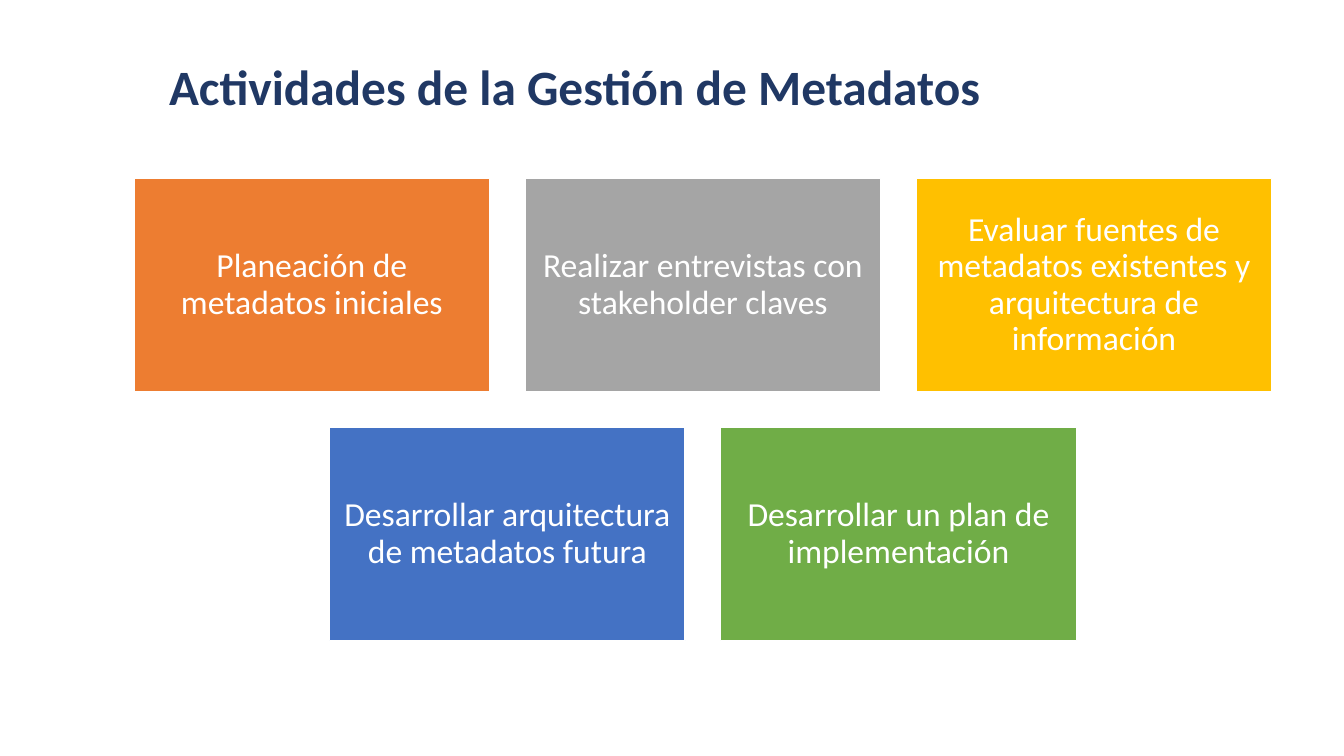
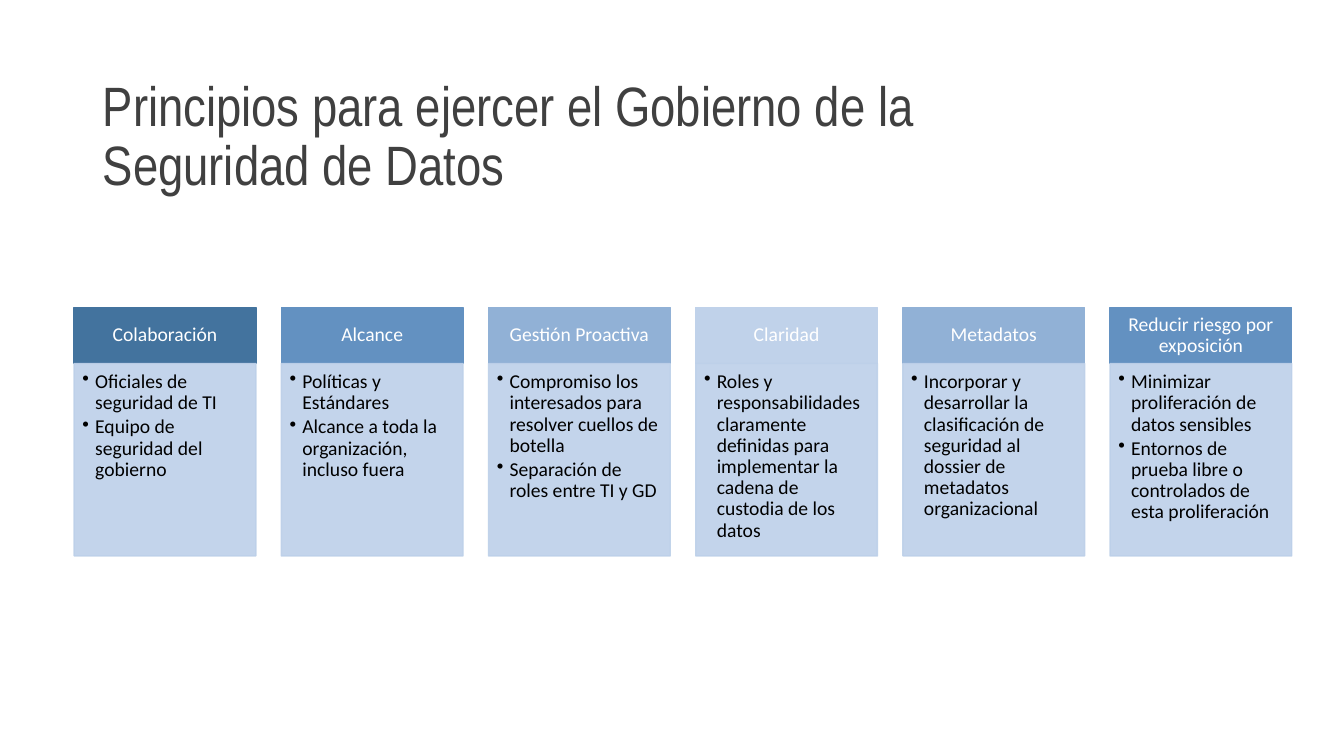
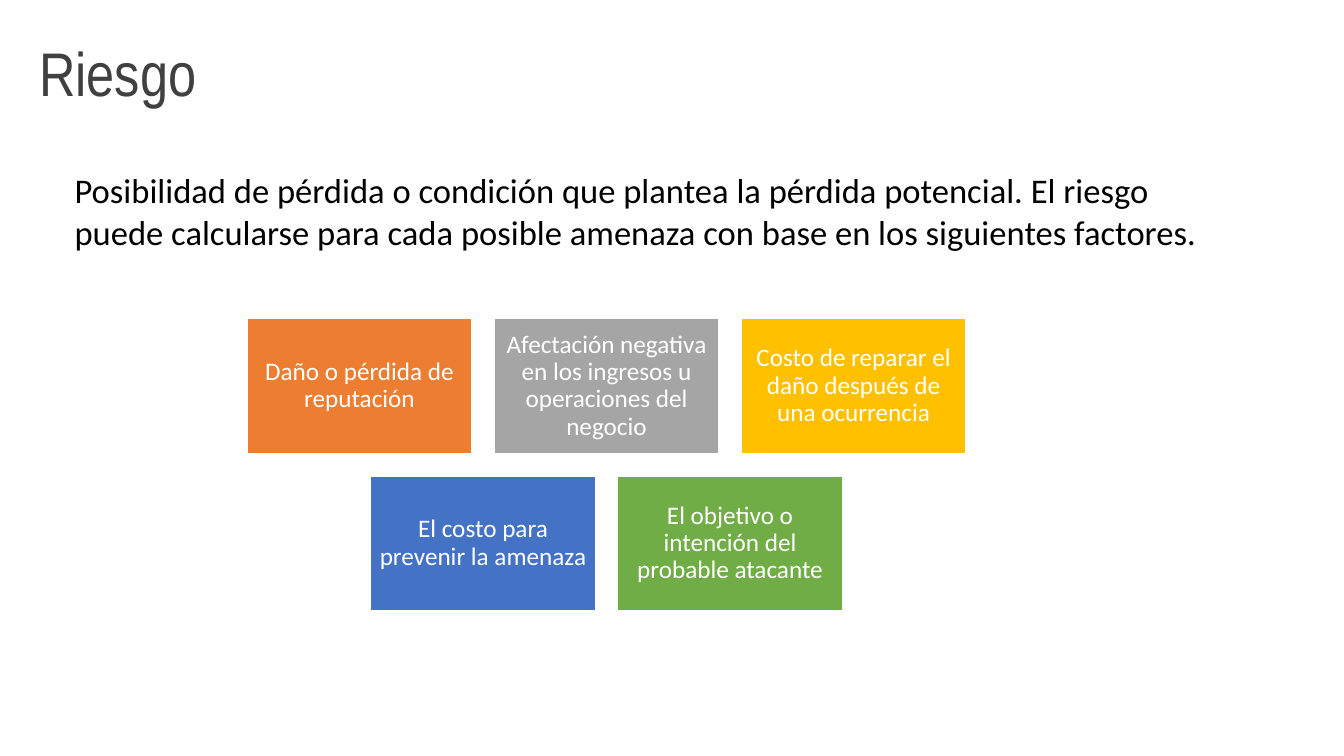
import pptx
import pptx.dml.color
import pptx.enum.shapes
import pptx.enum.text
import pptx.oxml.ns
import pptx.util
from lxml import etree

Cm = pptx.util.Cm
ALIGN = pptx.enum.text.PP_ALIGN
ANCHOR = pptx.enum.text.MSO_ANCHOR
qn = pptx.oxml.ns.qn

COLORS = {
    "white": "FFFFFF", "black": "000000", "navy": "203864", "charcoal": "404040",
    "orange": "ED7D31", "gray": "A5A5A5", "gold": "FFC000", "blue": "4472C4", "green": "70AD47",
    "steel": "43739E", "sky": "6391C1", "mist": "91B1D6", "haze": "C0D2EA", "panel": "BDD0E9",
}
CARD_COLORS = ["orange", "gray", "gold", "blue", "green"]
CARDS_PER_ROW = 3

ACTIVITIES_TITLE = "Actividades de la Gestión de Metadatos"
ACTIVITIES = [
    "Planeación de metadatos iniciales",
    "Realizar entrevistas con stakeholder claves",
    "Evaluar fuentes de metadatos existentes y arquitectura de información",
    "Desarrollar arquitectura de metadatos futura",
    "Desarrollar un plan de implementación",
]

PRINCIPLES_TITLE = "Principios para ejercer el Gobierno de la Seguridad de Datos"
PRINCIPLES = [
    ("Colaboración", "steel", ["Oficiales de seguridad de TI", "Equipo de seguridad del gobierno"]),
    ("Alcance", "sky", ["Políticas y Estándares", "Alcance a toda la organización, incluso fuera"]),
    ("Gestión Proactiva", "mist", ["Compromiso los interesados para resolver cuellos de botella",
                                   "Separación de roles entre TI y GD"]),
    ("Claridad", "haze", ["Roles y responsabilidades claramente definidas para implementar "
                          "la cadena de custodia de los datos"]),
    ("Metadatos", "mist", ["Incorporar y desarrollar la clasificación de seguridad al dossier "
                           "de metadatos organizacional"]),
    ("Reducir riesgo por exposición", "sky", ["Minimizar proliferación de datos sensibles",
                                              "Entornos de prueba libre o controlados de esta proliferación"]),
]

RISK_TITLE = "Riesgo"
RISK_DEFINITION = ("Posibilidad de pérdida o condición que plantea la pérdida potencial. El riesgo puede "
                   "calcularse para cada posible amenaza con base en los siguientes factores.")
RISK_FACTORS = [
    "Daño o pérdida de reputación",
    "Afectación negativa en los ingresos u operaciones del negocio",
    "Costo de reparar el daño después de una ocurrencia",
    "El costo para prevenir la amenaza",
    "El objetivo o intención del probable atacante",
]


def rgb(name):
    return pptx.dml.color.RGBColor.from_string(COLORS[name])


def write(shape, paragraphs, size, color, font="Calibri", bold=False, align=ALIGN.LEFT,
          anchor=ANCHOR.MIDDLE, insets=(0.25, 0.13, 0.25, 0.13), spacing=0.9, bulleted=False):
    frame = shape.text_frame
    frame.word_wrap = True
    frame.vertical_anchor = anchor
    frame.margin_left, frame.margin_top, frame.margin_right, frame.margin_bottom = map(Cm, insets)
    for index, text in enumerate(paragraphs):
        paragraph = frame.paragraphs[0] if index == 0 else frame.add_paragraph()
        if bulleted:
            properties = paragraph._p.get_or_add_pPr()
            properties.set("marL", str(Cm(0.32)))
            properties.set("indent", str(-Cm(0.32)))
            etree.SubElement(properties, qn("a:buChar"), char="•")
            paragraph.space_after = pptx.util.Pt(2)
        paragraph.alignment = align
        paragraph.line_spacing = spacing
        run = paragraph.add_run()
        run.text = text
        run.font.size = pptx.util.Pt(size)
        run.font.name = font
        run.font.bold = bold
        run.font.color.rgb = rgb(color)


def add_text(slide, box, text, size, color, **style):
    write(slide.shapes.add_textbox(*map(Cm, box)), [text], size, color, **style)


def add_title(slide, box, text, size, color="charcoal", font="Arial Narrow", **style):
    add_text(slide, box, text, size, color, font=font, **style)


def add_rectangle(slide, box, fill, line, opacity=100):
    rectangle = slide.shapes.add_shape(pptx.enum.shapes.MSO_SHAPE.RECTANGLE, *map(Cm, box))
    rectangle.shadow.inherit = False
    rectangle.fill.solid()
    rectangle.fill.fore_color.rgb = rgb(fill)
    rectangle.line.color.rgb = rgb(line)
    rectangle.line.width = pptx.util.Pt(1)
    if opacity < 100:
        for color in list(rectangle.element.spPr.iter(qn("a:srgbClr"))):
            etree.SubElement(color, qn("a:alpha"), val=str(opacity * 1000))
    return rectangle


def add_cards(slide, texts, left, top, width, size, inset):
    height, gap = 0.6 * width, 0.1 * width
    for index, (text, color) in enumerate(zip(texts, CARD_COLORS)):
        row, column = divmod(index, CARDS_PER_ROW)
        row_count = min(CARDS_PER_ROW, len(texts) - row * CARDS_PER_ROW)
        shift = column + (CARDS_PER_ROW - row_count) / 2
        box = (left + shift * (width + gap), top + row * (height + gap), width, height)
        card = add_rectangle(slide, box, color, "white")
        write(card, [text], size, "white", align=ALIGN.CENTER, insets=[inset] * 4)


def add_principles(slide, left=1.87, top=7.75, width=4.58, header_height=1.41, body_height=4.85):
    for index, (name, color, points) in enumerate(PRINCIPLES):
        x = left + index * width * 1.14
        header = add_rectangle(slide, (x, top, width, header_height), color, color)
        write(header, [name], 14, "white", align=ALIGN.CENTER, insets=(0.28, 0.16, 0.28, 0.16))
        body = add_rectangle(slide, (x, top + header_height, width, body_height), "panel", "panel", 90)
        write(body, points, 14, "black", anchor=ANCHOR.TOP, insets=(0.21, 0.21, 0.28, 0.31), bulleted=True)


def main():
    deck = pptx.Presentation()
    deck.slide_width, deck.slide_height = Cm(33.87), Cm(19.05)
    activities, principles, risk = [deck.slides.add_slide(deck.slide_layouts[6]) for _ in range(3)]

    add_title(activities, (1.57, 0.76, 25.83, 3), ACTIVITIES_TITLE, 35.3, "navy", "Calibri",
              bold=True, align=ALIGN.CENTER)
    add_cards(activities, ACTIVITIES, 3.38, 4.5, 8.96, 24, 0.25)

    add_title(principles, (2.34, 2.08, 21.06, 2.8), PRINCIPLES_TITLE, 39.6)
    add_principles(principles)

    add_title(risk, (0.74, 0.79, 26, 2.26), RISK_TITLE, 44)
    add_text(risk, (1.63, 4.14, 29.26, 2.36), RISK_DEFINITION, 24.7, "black",
             anchor=ANCHOR.TOP, spacing=1.0)
    add_cards(risk, RISK_FACTORS, 6.23, 8.03, 5.66, 18, 0.19)

    deck.save("out.pptx")


if __name__ == "__main__":
    main()
